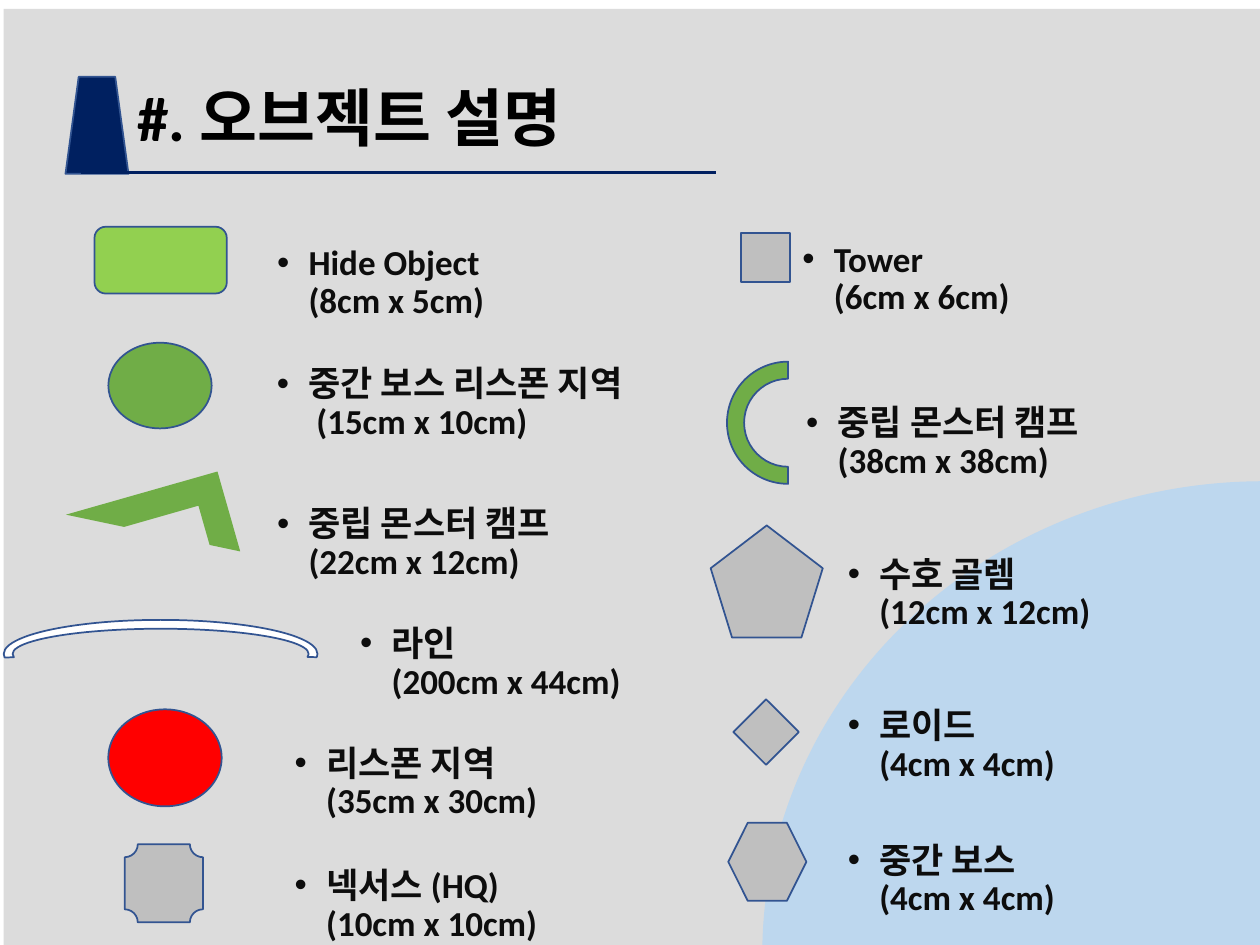
import pptx
import pptx.util
import pptx.dml.color
import pptx.enum.shapes
import pptx.enum.text
import pptx.oxml.ns
import lxml.etree

Inches = pptx.util.Inches
Pt = pptx.util.Pt
RGBColor = pptx.dml.color.RGBColor
SHAPE = pptx.enum.shapes.MSO_SHAPE
qn = pptx.oxml.ns.qn

BLACK = RGBColor(0x00, 0x00, 0x00)
INK = RGBColor(0x0D, 0x0D, 0x0D)
WHITE = RGBColor(0xFF, 0xFF, 0xFF)
PANEL = RGBColor(0xDC, 0xDC, 0xDC)
PALE_BLUE = RGBColor(0xBD, 0xD7, 0xEE)
NAVY = RGBColor(0x00, 0x20, 0x60)
OUTLINE = RGBColor(0x32, 0x54, 0x91)
LIME = RGBColor(0x92, 0xD0, 0x50)
GREEN = RGBColor(0x70, 0xAD, 0x47)
RED = RGBColor(0xFF, 0x00, 0x00)
GREY = RGBColor(0xBF, 0xBF, 0xBF)

presentation = pptx.Presentation()
presentation.slide_width = Inches(10)
presentation.slide_height = Inches(7.5)
slide = presentation.slides.add_slide(presentation.slide_layouts[5])


def add_figure(kind, box, fill, line=OUTLINE, adjustments=()):
    shape = slide.shapes.add_shape(kind, *[Inches(value) for value in box])
    shape.shadow.inherit = False
    shape.fill.solid()
    shape.fill.fore_color.rgb = fill
    if line is None:
        shape.line.fill.background()
    else:
        shape.line.color.rgb = line
        shape.line.width = Pt(1)
    for index, value in enumerate(adjustments):
        shape.adjustments[index] = value
    return shape


def format_runs(paragraph, size, color):
    for run in paragraph.runs:
        run.font.name = "Calibri"
        run.font.size = Pt(size)
        run.font.bold = True
        run.font.color.rgb = color


# Backdrop and heading decoration
add_figure(SHAPE.RECTANGLE, (0.03, 0.07, 10, 7.5), PANEL, None)
add_figure(SHAPE.PIE, (6.05, 3.82, 7.95, 7.5), PALE_BLUE, None, (107.83, 162))
add_figure(SHAPE.TRAPEZOID, (0.52, 0.61, 0.5, 0.77), NAVY, adjustments=(0.21,))
underline = slide.shapes.add_connector(
    pptx.enum.shapes.MSO_CONNECTOR.STRAIGHT,
    Inches(0.64), Inches(1.37), Inches(5.68), Inches(1.37))
underline.line.color.rgb = NAVY
underline.line.width = Pt(2)
lxml.etree.SubElement(underline.element.spPr, qn("a:effectLst"))

# Title, brought in front of the backdrop
title = slide.shapes.title
slide.shapes.element.append(title.element)
title.left, title.top = Inches(0.99), Inches(0.57)
title.width, title.height = Inches(8.32), Inches(0.71)
title.text_frame.text = "#. 오브젝트 설명"
title.text_frame.auto_size = pptx.enum.text.MSO_AUTO_SIZE.NONE
title.text_frame.vertical_anchor = pptx.enum.text.MSO_ANCHOR.MIDDLE
title_paragraph = title.text_frame.paragraphs[0]
title_paragraph.alignment = pptx.enum.text.PP_ALIGN.LEFT
format_runs(title_paragraph, 36, BLACK)

# Game objects: kind, box, fill, line, adjustments
figures = [
    (SHAPE.ROUNDED_RECTANGLE, (0.75, 1.8, 1.05, 0.53), LIME),
    (SHAPE.OVAL, (0.86, 2.72, 0.82, 0.68), GREEN),
    (SHAPE.BLOCK_ARC, (0.03, 4.92, 2.49, 0.54), WHITE, OUTLINE, (107.21, 0.72, 0.13)),
    (SHAPE.OVAL, (0.86, 5.63, 0.9, 0.77), RED),
    (SHAPE.PLAQUE, (0.99, 6.7, 0.62, 0.62), GREY),
    (SHAPE.RECTANGLE, (5.88, 1.85, 0.39, 0.39), GREY),
    (SHAPE.REGULAR_PENTAGON, (5.64, 4.17, 0.89, 0.89), GREY),
    (SHAPE.DIAMOND, (5.82, 5.55, 0.52, 0.52), GREY),
    (SHAPE.HEXAGON, (5.78, 6.53, 0.62, 0.62), GREY),
]
for figure in figures:
    add_figure(*figure)

# The two monster camps are turned
corner_camp = add_figure(SHAPE.HALF_FRAME, (0.59, 3.9, 1.25, 0.66), GREEN, None)
corner_camp.rotation = 164.1
corner_camp.element.spPr.find(qn("a:xfrm")).set("flipV", "1")
round_camp = add_figure(SHAPE.BLOCK_ARC, (5.77, 2.87, 0.97, 0.97), GREEN,
                        adjustments=(108, 0, 0.14))
round_camp.rotation = 270

# Labels: left, top, width, text (\v is a line break)
labels = [
    (2.1, 1.9, 2.39, "Hide Object (8cm x 5cm)"),
    (2.1, 2.86, 3.27, "중간 보스 리스폰 지역\v (15cm x 10cm)"),
    (2.1, 3.97, 2.61, "중립 몬스터 캠프(22cm x 12cm)"),
    (2.76, 4.92, 2.61, "라인 \v(200cm x 44cm)"),
    (2.24, 5.87, 2.61, "리스폰 지역 \v(35cm x 30cm)"),
    (2.24, 6.84, 2.61, "넥서스 (HQ)\v(10cm x 10cm)"),
    (6.27, 1.87, 2.39, "Tower\v(6cm x 6cm)"),
    (6.3, 3.17, 2.61, "중립 몬스터 캠프(38cm x 38cm)"),
    (6.63, 4.37, 2.61, "수호 골렘\v(12cm x 12cm)"),
    (6.63, 5.57, 2.61, "로이드\v(4cm x 4cm)"),
    (6.63, 6.64, 2.61, "중간 보스\v(4cm x 4cm)"),
]
for left, top, width, text in labels:
    label = slide.shapes.add_textbox(Inches(left), Inches(top), Inches(width), Inches(0.4))
    label.text_frame.word_wrap = True
    paragraph = label.text_frame.paragraphs[0]
    paragraph.text = text
    paragraph.line_spacing = 0.9
    paragraph.space_before = Pt(10)
    format_runs(paragraph, 20, INK)
    # Hanging bullet
    properties = paragraph._p.get_or_add_pPr()
    properties.set("marL", str(Inches(0.25)))
    properties.set("indent", str(-Inches(0.25)))
    lxml.etree.SubElement(properties, qn("a:buFont")).set("typeface", "Arial")
    lxml.etree.SubElement(properties, qn("a:buChar")).set("char", "•")

presentation.save("out.pptx")
